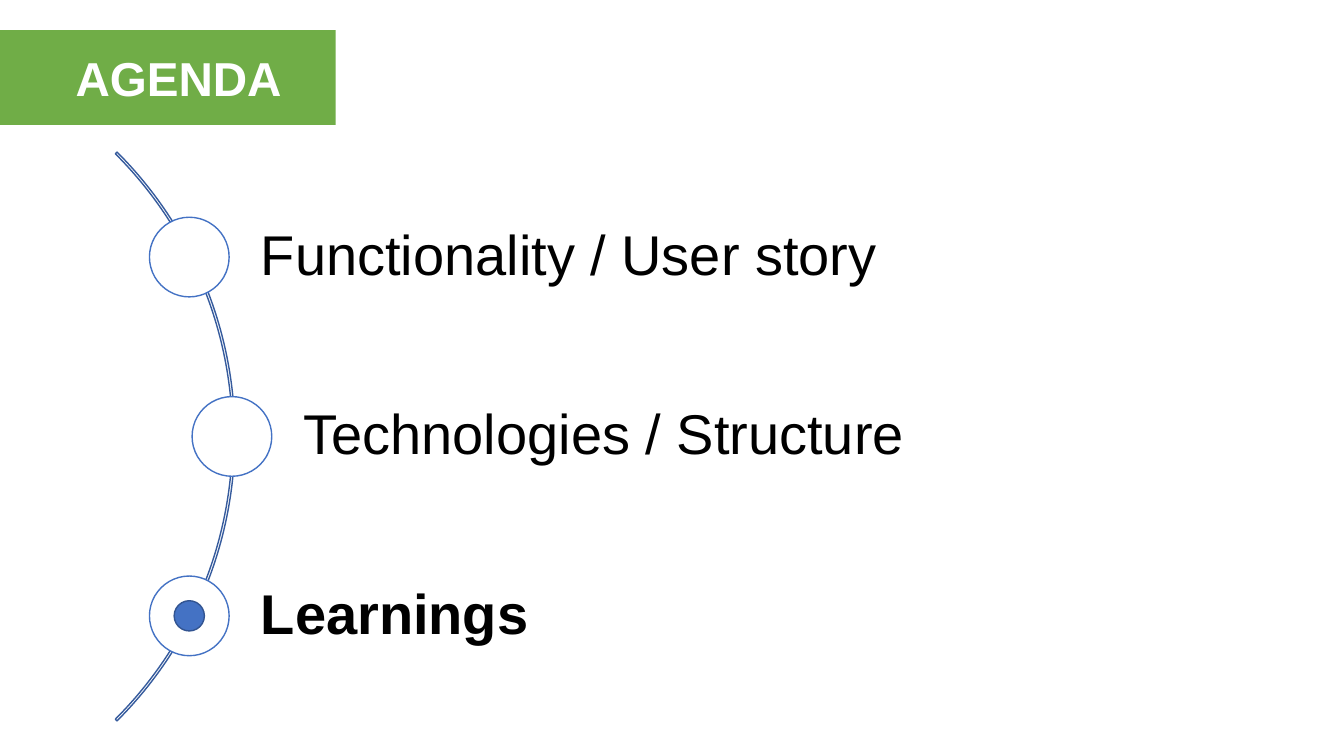
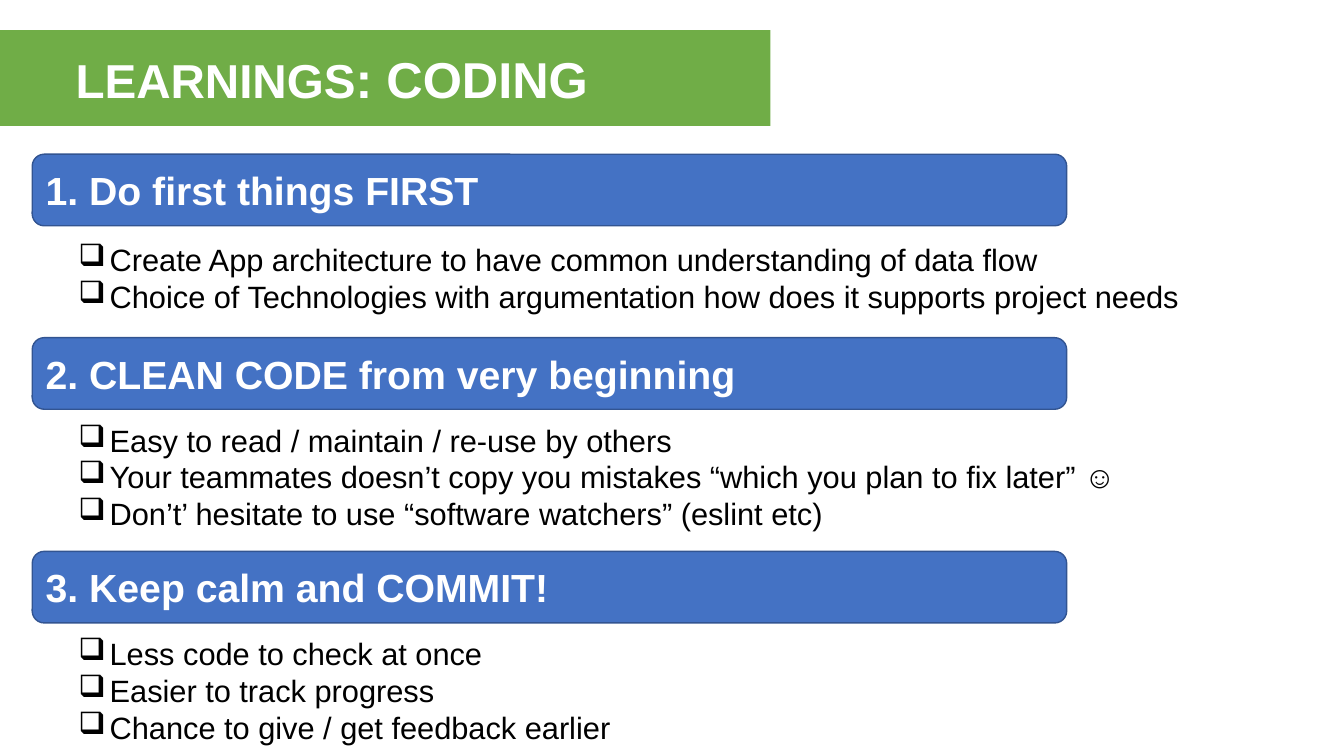
from math import sqrt

from lxml.etree import SubElement
from pptx import Presentation
from pptx.dml.color import RGBColor
from pptx.enum.shapes import MSO_SHAPE
from pptx.enum.text import MSO_ANCHOR, MSO_AUTO_SIZE, PP_ALIGN
from pptx.oxml.ns import qn
from pptx.util import Inches, Pt

GREEN = RGBColor(0x70, 0xAD, 0x47)
BLUE = RGBColor(0x44, 0x72, 0xC4)
DARK_BLUE = RGBColor(0x32, 0x54, 0x91)
ARC_BLUE = RGBColor(0x36, 0x5B, 0x9D)
WHITE = RGBColor(0xFF, 0xFF, 0xFF)
BLACK = RGBColor(0x00, 0x00, 0x00)
FONT = "Arial"

ARC_CENTER_X, ARC_CENTER_Y, ARC_RADIUS = -1.66, 4.33, 3.99
TRACK_RADIUS = 3.96
AGENDA_STEP = 1.78
CIRCLE_SIZE, DOT_SIZE = 0.79, 0.3
AGENDA_RIGHT = 9.94

AGENDA = ["Functionality / User story", "Technologies / Structure", "Learnings"]
CURRENT = "Learnings"

LEARNINGS = [
    (1.53, "1. Do first things FIRST", 2.34, [
        "Create App architecture to have common understanding of data flow",
        "Choice of Technologies with argumentation how does it supports project needs",
    ]),
    (3.35, "2. CLEAN CODE from very beginning", 4.13, [
        "Easy to read / maintain / re-use by others",
        "Your teammates doesn’t copy you mistakes “which you plan to fix later” ☺",
        "Don’t’ hesitate to use “software watchers” (eslint etc)",
    ]),
    (5.47, "3. Keep calm and COMMIT!", 6.25, [
        "Less code to check at once",
        "Easier to track progress",
        "Chance to give / get feedback earlier",
    ]),
]


def set_font(font, size, color, bold=False):
    font.name = FONT
    font.size = Pt(size)
    font.bold = bold
    font.color.rgb = color


def add_titled_slide(presentation, width, height, parts):
    slide = presentation.slides.add_slide(presentation.slide_layouts[5])
    title = slide.shapes.title
    title.left, title.top = Inches(0), Inches(0.3)
    title.width, title.height = Inches(width), Inches(height)
    title.fill.solid()
    title.fill.fore_color.rgb = GREEN
    frame = title.text_frame
    frame.auto_size = MSO_AUTO_SIZE.NONE
    frame.vertical_anchor = MSO_ANCHOR.MIDDLE
    frame.margin_left = Inches(0.75)
    paragraph = frame.paragraphs[0]
    paragraph.alignment = PP_ALIGN.LEFT
    for text, size in parts:
        run = paragraph.add_run()
        run.text = text
        set_font(run.font, size, WHITE, bold=True)
    return slide


def add_shape(slide, kind, left, top, width, height, fill, line):
    shape = slide.shapes.add_shape(
        kind, Inches(left), Inches(top), Inches(width), Inches(height))
    shape.shadow.inherit = False
    if fill is None:
        shape.fill.background()
    else:
        shape.fill.solid()
        shape.fill.fore_color.rgb = fill
    shape.line.color.rgb = line
    shape.line.width = Pt(1)
    return shape


def add_circle(slide, center_x, center_y, size, fill, line):
    return add_shape(slide, MSO_SHAPE.OVAL, center_x - size / 2,
                     center_y - size / 2, size, size, fill, line)


def add_text_box(slide, left, top, width, height):
    box = slide.shapes.add_textbox(
        Inches(left), Inches(top), Inches(width), Inches(height))
    box.text_frame.word_wrap = True
    return box.text_frame


def add_arc(slide):
    arc = add_shape(slide, MSO_SHAPE.BLOCK_ARC, ARC_CENTER_X - ARC_RADIUS,
                    ARC_CENTER_Y - ARC_RADIUS, 2 * ARC_RADIUS, 2 * ARC_RADIUS,
                    None, ARC_BLUE)
    for index, value in enumerate((189, 27, 0.003)):
        arc.adjustments[index] = value


def add_agenda_item(slide, offset, text, current):
    center_x = ARC_CENTER_X + sqrt(TRACK_RADIUS ** 2 - offset ** 2)
    center_y = ARC_CENTER_Y + offset
    frame = add_text_box(slide, center_x, center_y - 0.36,
                         AGENDA_RIGHT - center_x, 0.72)
    frame.vertical_anchor = MSO_ANCHOR.MIDDLE
    frame.margin_left = Inches(0.71)
    paragraph = frame.paragraphs[0]
    paragraph.text = text
    paragraph.line_spacing = 0.9
    set_font(paragraph.font, 40, BLACK, bold=current)
    add_circle(slide, center_x, center_y, CIRCLE_SIZE, WHITE, BLUE)
    if current:
        add_circle(slide, center_x, center_y, DOT_SIZE, BLUE, DARK_BLUE)


def add_heading(slide, top, text):
    band = add_shape(slide, MSO_SHAPE.ROUNDED_RECTANGLE, 0.32, top, 10.26, 0.71,
                     BLUE, DARK_BLUE)
    band.text_frame.vertical_anchor = MSO_ANCHOR.MIDDLE
    paragraph = band.text_frame.paragraphs[0]
    paragraph.text = text
    paragraph.alignment = PP_ALIGN.LEFT
    set_font(paragraph.font, 28, WHITE, bold=True)


def add_bullet(paragraph):
    properties = paragraph._p.get_or_add_pPr()
    properties.set("marL", str(Inches(0.31)))
    properties.set("indent", str(-Inches(0.31)))
    SubElement(properties, qn("a:buChar")).set("char", "❑")


def add_bullet_list(slide, top, items):
    frame = add_text_box(slide, 0.68, top, 11.47, 0.1 + 0.37 * len(items))
    for index, item in enumerate(items):
        paragraph = frame.add_paragraph() if index else frame.paragraphs[0]
        paragraph.text = item
        add_bullet(paragraph)
        set_font(paragraph.font, 22, BLACK)


def build_agenda(presentation):
    slide = add_titled_slide(presentation, 3.33, 0.94, [("AGENDA", 34)])
    add_arc(slide)
    for index, text in enumerate(AGENDA):
        add_agenda_item(slide, (index - 1) * AGENDA_STEP, text, text == CURRENT)


def build_learnings(presentation):
    slide = add_titled_slide(presentation, 7.64, 0.95,
                             [("LEARNINGS", 34), (": CODING", 36)])
    for heading_top, heading, list_top, items in LEARNINGS:
        add_heading(slide, heading_top, heading)
        add_bullet_list(slide, list_top, items)


def main():
    presentation = Presentation()
    presentation.slide_width = Inches(13.33)
    presentation.slide_height = Inches(7.5)
    build_agenda(presentation)
    build_learnings(presentation)
    presentation.save("out.pptx")


if __name__ == "__main__":
    main()
